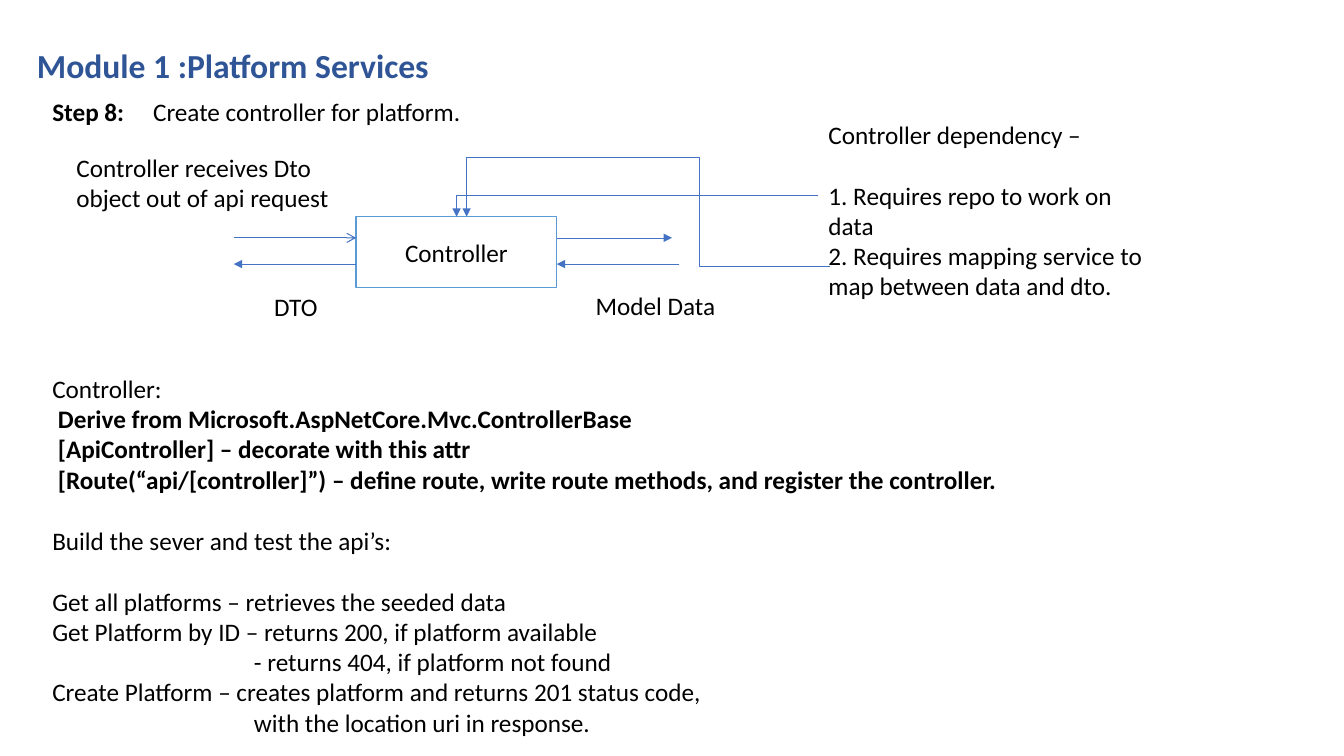
from lxml import etree
from pptx import Presentation
from pptx import util as u
from pptx.dml.color import RGBColor
from pptx.enum import shapes, text
from pptx.oxml.ns import qn

BLACK, WHITE, NAVY = "000000", "FFFFFF", "2F5597"
LINE, EDGE = "4472C4", "5B9BD5"
BLANK_LINE = 22  # points taken by one line of body text


def rgb(value):
    return RGBColor.from_string(value)


def apply(target, values):
    for name, value in values.items():
        setattr(target, name, value)


class ModuleSlide:
    """Holds the style and the current slide; lengths are grid columns and rows."""

    COLUMNS, ROWS = 40, 30
    FONT = {"name": "Calibri", "size": u.Pt(18), "bold": False}

    def __init__(self, deck):
        self.column = deck.slide_width / self.COLUMNS
        self.row = deck.slide_height / self.ROWS
        self.page = deck.slides.add_slide(deck.slide_layouts[5])

    def place(self, x, y):
        return round(x * self.column), round(y * self.row)

    def area(self, left, top, width, height):
        return *self.place(left, top), *self.place(width, height)

    def fill_text(self, frame, paragraphs, color=BLACK, align=text.PP_ALIGN.LEFT, **font):
        """Each paragraph is (spans, format); each span is (words, bold)."""
        for index, (spans, layout) in enumerate(paragraphs):
            para = frame.paragraphs[0] if index == 0 else frame.add_paragraph()
            para.alignment = align
            para.space_before = u.Pt(layout.get("gap", 0) * BLANK_LINE)
            if "indent" in layout:
                properties = para._p.get_or_add_pPr()
                properties.set("marL", str(u.Inches(layout["indent"])))
                properties.set("indent", "0")
            for words, bold in spans:
                span = para.add_run()
                span.text = words
                apply(span.font, {**self.FONT, "bold": bold, **font})
                span.font.color.rgb = rgb(color)

    def title(self, words, area):
        holder = self.page.shapes.title
        apply(holder, dict(zip(("left", "top", "width", "height"), self.area(*area))))
        apply(holder.text_frame, {"word_wrap": True,
                                  "auto_size": text.MSO_AUTO_SIZE.NONE,
                                  "vertical_anchor": text.MSO_ANCHOR.TOP})
        self.fill_text(holder.text_frame, [line(words, bold=True)], NAVY, size=u.Pt(24))

    def note(self, paragraphs, area, wrap=True):
        box = self.page.shapes.add_textbox(*self.area(*area))
        box.text_frame.word_wrap = wrap
        self.fill_text(box.text_frame, paragraphs)

    def block(self, words, area):
        box = self.page.shapes.add_shape(shapes.MSO_SHAPE.RECTANGLE, *self.area(*area))
        box.shadow.inherit = False
        box.fill.solid()
        box.fill.fore_color.rgb = rgb(WHITE)
        box.line.color.rgb = rgb(EDGE)
        box.line.width = u.Pt(1)
        box.text_frame.vertical_anchor = text.MSO_ANCHOR.MIDDLE
        self.fill_text(box.text_frame, [line(words)], align=text.PP_ALIGN.CENTER)

    def arrow(self, start, end, head="triangle", width=0.5, preset="line", bends=()):
        link = self.page.shapes.add_connector(
            shapes.MSO_CONNECTOR.STRAIGHT, *self.place(*start), *self.place(*end))
        link.line.color.rgb = rgb(LINE)
        link.line.width = u.Pt(width)
        properties = link._element.spPr
        geometry = properties.find(qn("a:prstGeom"))
        geometry.set("prst", preset)
        guides = geometry.find(qn("a:avLst"))
        for number, share in enumerate(bends, 1):
            etree.SubElement(guides, qn("a:gd"), name=f"adj{number}",
                             fmla=f"val {round(share * 100000)}")
        etree.SubElement(properties.find(qn("a:ln")), qn("a:tailEnd"), type=head)
        etree.SubElement(properties, qn("a:effectLst"))


def line(words, bold=False, **layout):
    return [(words, bold)], layout


def main():
    deck = Presentation()
    deck.slide_width, deck.slide_height = u.Inches(13.33), u.Inches(7.5)
    slide = ModuleSlide(deck)

    # Title and body
    slide.title("Module 1 :Platform Services", (0.8, 1.6, 36.1, 2))
    slide.note([
        ([("Step 8:", True), ("\tCreate controller for platform.", False)], {}),
        line("Controller:", gap=8),
        line(" Derive from Microsoft.AspNetCore.Mvc.ControllerBase", bold=True),
        line(" [ApiController] – decorate with this attr", bold=True),
        line(" [Route(“api/[controller]”) – define route, write route methods, "
             "and register the controller.", bold=True),
        line("Build the sever and test the api’s:", gap=1),
        line("Get all platforms – retrieves the seeded data", gap=1),
        line("Get Platform by ID – returns 200, if platform available"),
        line("- returns 404, if platform not found", indent=2),
        line("Create Platform – creates platform and returns 201 status code,"),
        line("with the location uri in response.", indent=2),
    ], (1.26, 3.64, 37.4, 25.84))

    # Controller block
    left, top, width, height = 10.6, 8.6, 5.97, 2.8
    right = left + width
    slide.block("Controller", (left, top, width, height))

    # Requests run along the upper lane, responses along the lower one
    upper, lower = 9.44, 10.48
    slide.arrow((6.96, upper), (left, upper), head="arrow", width=0.75)
    slide.arrow((right, upper), (20, upper))
    slide.arrow((left, lower), (6.96, lower))
    slide.arrow((20.22, lower), (right, lower))

    # Labels
    slide.note([line("Controller receives Dto object out of api request")],
               (1.98, 5.84, 9.36, 2.84))
    slide.note([line("DTO")], (7.86, 11.36, 1.92, 1.6), wrap=False)
    slide.note([line("Model Data")], (17.43, 11.32, 4.2, 1.6), wrap=False)

    # Dependencies injected into the controller
    slide.note([
        line("Controller dependency –"),
        line("1. Requires repo to work on data", gap=1),
        line("2. Requires mapping service to map between data and dto."),
    ], (24.36, 4.52, 10.23, 7.68))
    slide.arrow((24.36, 7.76), (13.59, top), preset="bentConnector2")
    slide.arrow((24.69, 10.56), (13.89, top), preset="bentConnector4",
                bends=(0.36, 2.2))

    deck.save("out.pptx")


if __name__ == "__main__":
    main()
